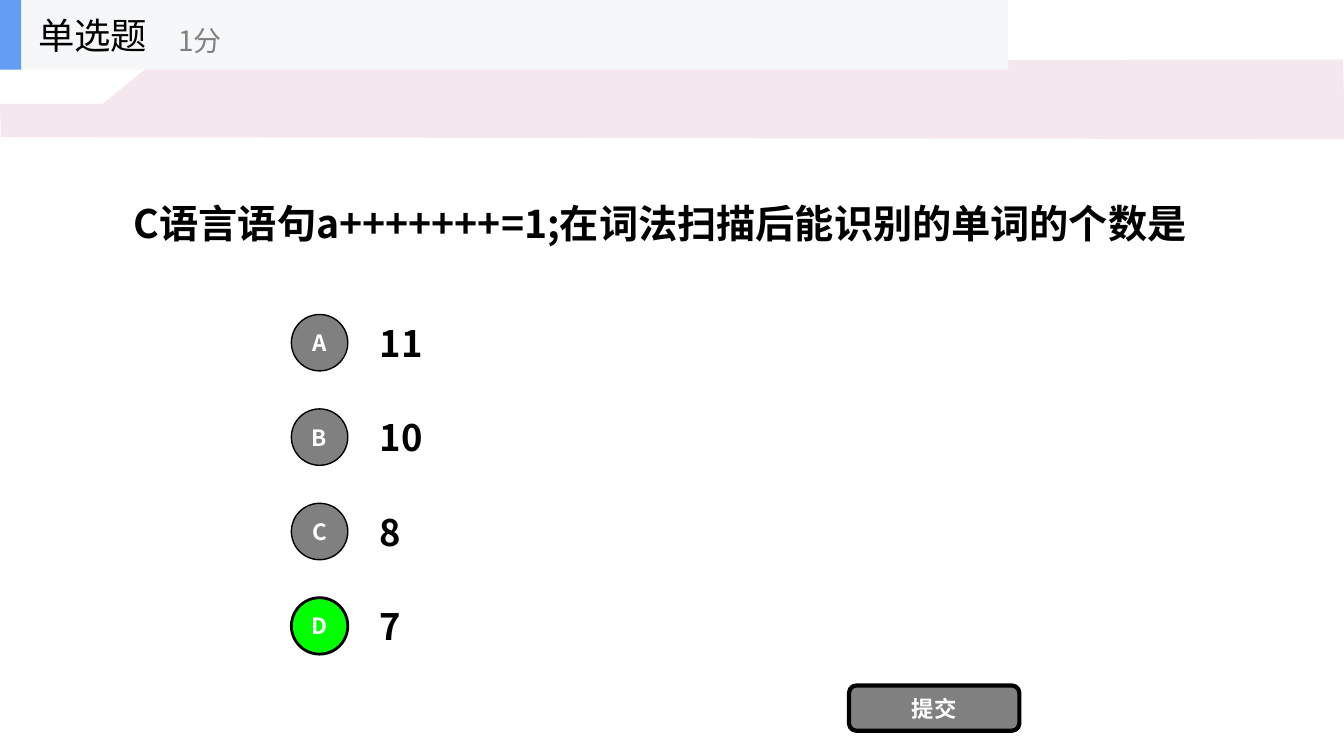
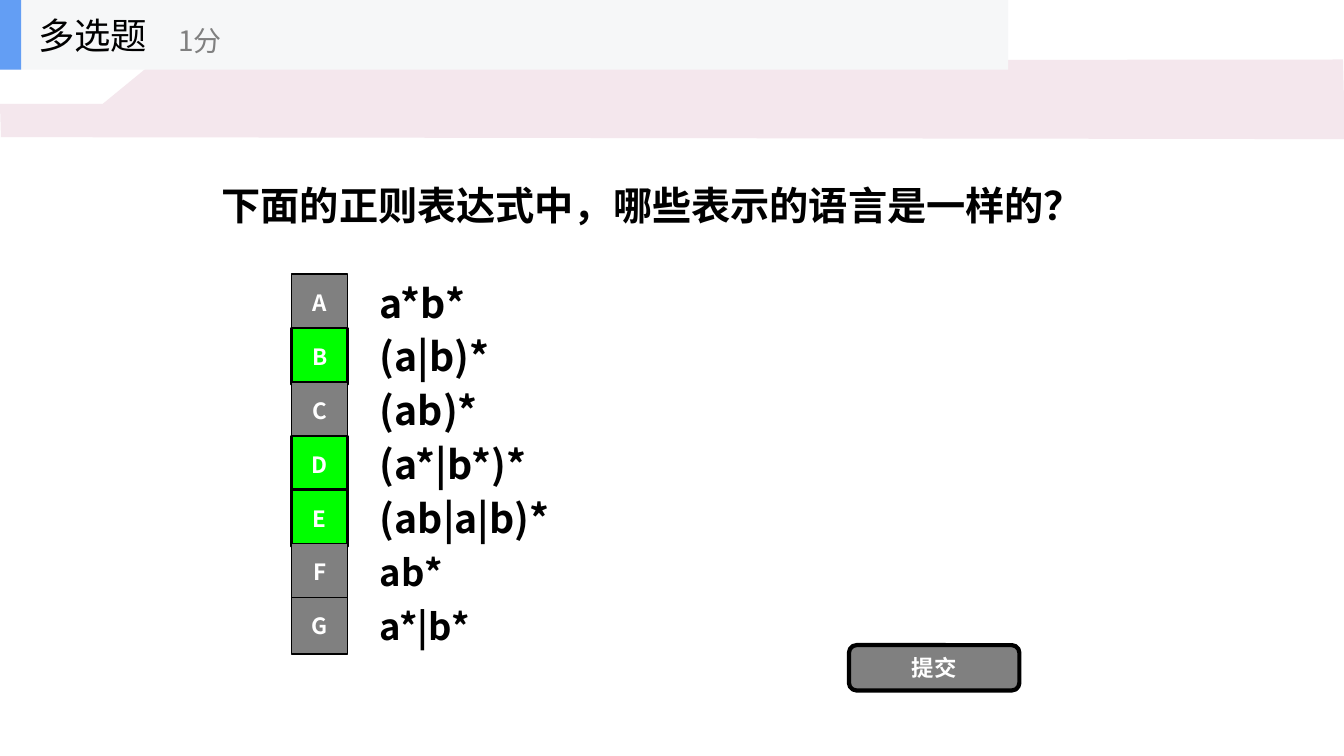
from pptx import Presentation
from pptx.dml.color import RGBColor
from pptx.enum.shapes import MSO_SHAPE
from pptx.enum.text import MSO_ANCHOR, PP_ALIGN
from pptx.util import Inches, Pt

RECT, OVAL = MSO_SHAPE.RECTANGLE, MSO_SHAPE.OVAL
ROUNDED = MSO_SHAPE.ROUNDED_RECTANGLE
MIDDLE = MSO_ANCHOR.MIDDLE
LEFT, CENTER = PP_ALIGN.LEFT, PP_ALIGN.CENTER

FONT = "Noto Sans CJK SC"
COLORS = {
    "ink": "000000", "white": "FFFFFF", "gray": "808080", "correct": "00FF00",
    "band": "F4E7ED", "header": "F6F7F8", "accent": "639EF4",
}

# Content: each option is (answer, text size)
QUIZZES = [
    {
        "kind": "单选题", "score": "1分",
        "question": "C语言语句a+++++++=1;在词法扫描后能识别的单词的个数是",
        "question_box": (1.23, 1.39, 11.65, 1.65), "line_spacing": 1.0,
        "options": [("11", 26), ("10", 26), ("8", 26), ("7", 26)],
        "correct": "D", "marker": OVAL, "first_top": 3.05, "submit_top": 6.8,
    },
    {
        "kind": "多选题", "score": "1分",
        "question": "下面的正则表达式中，哪些表示的语言是一样的？",
        "question_box": (2.1, 1.47, 8.57, 1.21), "line_spacing": 0.83,
        "options": [("a*b*", 28), ("(a|b)*", 28), ("(ab)*", 28), ("(a*|b*)*", 28),
                    ("(ab|a|b)*", 28), ("ab*", 26), ("a*|b*", 26)],
        "correct": "BDE", "marker": RECT, "first_top": 2.65, "submit_top": 6.4,
    },
]
SUBMIT = "提交"

# Layout rules, in inches
BAND = [(0, 1.03), (1.02, 1.03), (1.8, 0.39), (5, 0.39),
        (5.24, 0.6), (13.32, 0.59), (13.34, 1.38), (0.01, 1.36)]
HEADER_HEIGHT = 0.69
LAST_TOP = 5.86
ANSWER_LEFT, ANSWER_WIDTH, ANSWER_HEIGHT = 3.67, 7, 0.7
MARKER_LEFT, MARKER_SIZE = 2.89, 0.56


def rgb(name):
    return RGBColor.from_string(COLORS[name])


def write(frame, text, size, color, bold, align=LEFT):
    frame.word_wrap = True
    frame.vertical_anchor = MIDDLE
    paragraph = frame.paragraphs[0]
    paragraph.text = text
    paragraph.alignment = align
    font = paragraph.font
    font.name, font.size, font.bold = FONT, Pt(size), bold
    font.color.rgb = rgb(color)
    return paragraph


def add_text(slide, box, text, size, color="ink", bold=True):
    frame = slide.shapes.add_textbox(*map(Inches, box)).text_frame
    return write(frame, text, size, color, bold)


def paint(shape, fill, line_width=0):
    shape.shadow.inherit = False
    shape.fill.solid()
    shape.fill.fore_color.rgb = rgb(fill)
    if line_width:
        shape.line.color.rgb = rgb("ink")
        shape.line.width = Pt(line_width)
    else:
        shape.line.fill.background()


def add_block(slide, kind, box, fill, line_width=0, label=""):
    block = slide.shapes.add_shape(kind, *map(Inches, box))
    paint(block, fill, line_width)
    if label:
        write(block.text_frame, label, 16, "white", True, CENTER)


def add_band(slide, layout):
    """Draw the pink band and move it to the layout, which all slides share."""
    points = [(Inches(x), Inches(y)) for x, y in BAND]
    outline = slide.shapes.build_freeform(*points[0])
    outline.add_line_segments(points[1:], close=True)
    band = outline.convert_to_shape()
    paint(band, "band")
    layout.shapes.element.append(band.element)


def add_header(slide, kind, score):
    add_block(slide, RECT, (0, 0, 10, HEADER_HEIGHT), "header")
    add_block(slide, RECT, (0, 0, 0.21, HEADER_HEIGHT), "accent")
    add_text(slide, (0.28, 0, 2.08, HEADER_HEIGHT), kind, 26, bold=False)
    add_text(slide, (1.67, 0.12, 2.5, 0.56), score, 20, "gray", bold=False)


def add_options(slide, quiz):
    options = quiz["options"]
    step = (LAST_TOP - quiz["first_top"]) / (len(options) - 1)
    inset = (ANSWER_HEIGHT - MARKER_SIZE) / 2
    for i, (answer, size) in enumerate(options):
        top = quiz["first_top"] + i * step
        letter = chr(ord("A") + i)
        fill, line_width = ("correct", 2) if letter in quiz["correct"] else ("gray", 1)
        add_text(slide, (ANSWER_LEFT, top, ANSWER_WIDTH, ANSWER_HEIGHT), answer, size)
        add_block(slide, quiz["marker"],
                  (MARKER_LEFT, top + inset, MARKER_SIZE, MARKER_SIZE),
                  fill, line_width, letter)


def main():
    deck = Presentation()
    deck.slide_width, deck.slide_height = Inches(13.33), Inches(7.5)
    blank = deck.slide_layouts[6]
    for number, quiz in enumerate(QUIZZES):
        slide = deck.slides.add_slide(blank)
        if number == 0:
            add_band(slide, blank)
        question = add_text(slide, quiz["question_box"], quiz["question"], 28)
        question.line_spacing = quiz["line_spacing"]
        add_options(slide, quiz)
        add_block(slide, ROUNDED, (8.42, quiz["submit_top"], 1.69, 0.45),
                  "gray", 3, SUBMIT)
        add_header(slide, quiz["kind"], quiz["score"])
    deck.save("out.pptx")


if __name__ == "__main__":
    main()
